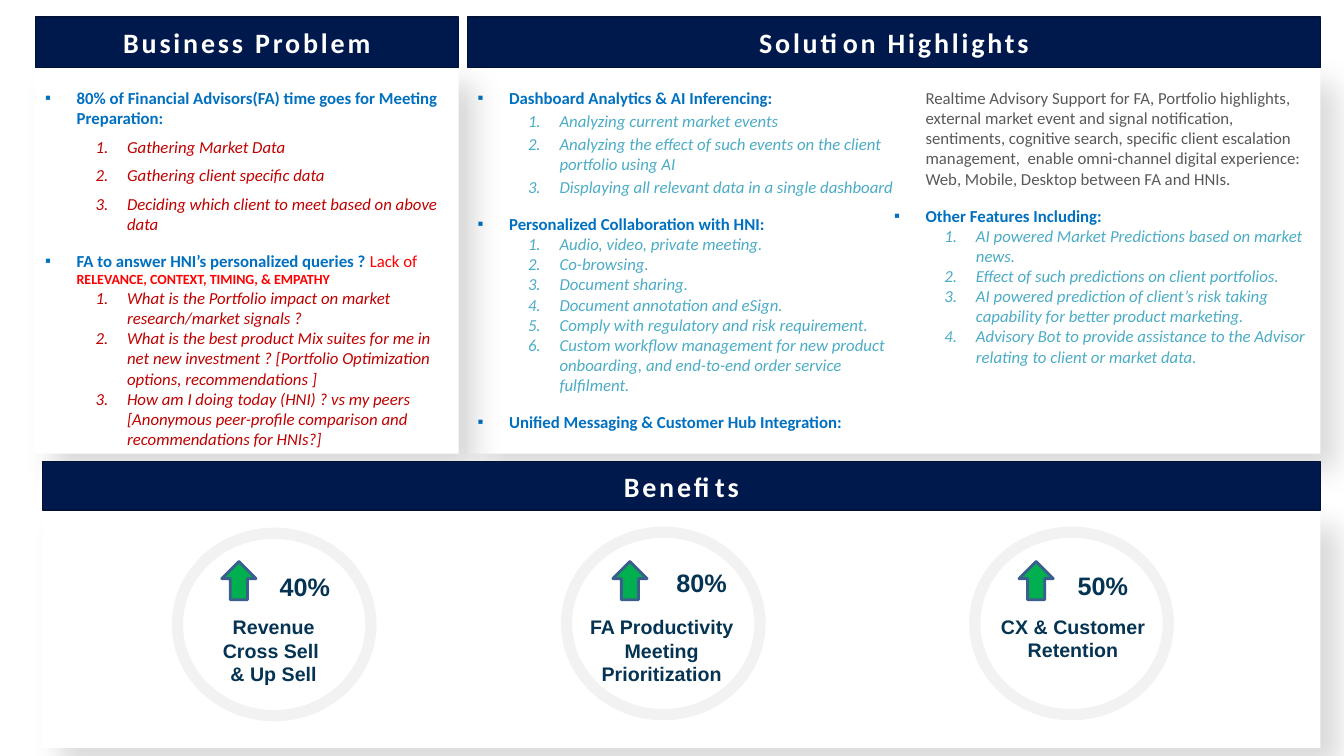
from dataclasses import dataclass

from lxml import etree
from pptx import Presentation
from pptx.dml.color import RGBColor
from pptx.enum.shapes import MSO_SHAPE
from pptx.enum.text import MSO_ANCHOR, PP_ALIGN
from pptx.oxml.ns import qn
from pptx.util import Pt

RECT, OVAL, UP_ARROW = MSO_SHAPE.RECTANGLE, MSO_SHAPE.OVAL, MSO_SHAPE.UP_ARROW
TOP, MIDDLE = MSO_ANCHOR.TOP, MSO_ANCHOR.MIDDLE
LEFT, CENTER = PP_ALIGN.LEFT, PP_ALIGN.CENTER

COLORS = {
    "navy": "00194C", "navy_edge": "001238", "white": "FFFFFF", "black": "000000",
    "heading": "0070C0", "problem": "C00000", "alert": "FF0000", "solution": "4BACC6",
    "body": "595959", "ring": "F2F2F2", "benefit": "053353",
    "arrow": "00B050", "arrow_edge": "3A5F8C",
}


@dataclass
class Section:
    """A titled panel with its header bar."""
    title: str
    left: float
    top: float
    width: float
    bar_height: float
    bottom: float


@dataclass
class Topic:
    """A bulleted heading, extra runs after it, and numbered points."""
    heading: str
    points: tuple = ()
    color: str = "solution"
    before: float = 0
    extra: tuple = ()


@dataclass
class Benefit:
    """A ring with an arrow, a percentage and a label."""
    ring_left: float
    ring_top: float
    arrow_left: float
    percent: str
    percent_box: tuple
    label: tuple
    label_box: tuple


PROBLEM = Section("Business Problem", 25.2, 12.24, 302.4, 36, 324)
SOLUTION = Section("Solution Highlights", 334.08, 12.24, 609.12, 36, 324)
BENEFITS = Section("Benefits", 30.24, 329.76, 912.96, 34.56, 534.24)

PROBLEM_TOPICS = [
    Topic("80% of Financial Advisors(FA) time goes for Meeting Preparation:",
          ("Gathering Market Data", "Gathering client specific data",
           "Deciding which client to meet based on above data"), "problem", 6),
    Topic("FA to answer HNI’s personalized queries ? ",
          ("What is the Portfolio impact on market research/market signals ?",
           "What is the best product Mix suites for me in net new investment ? "
           "[Portfolio Optimization options, recommendations ]",
           "How am I doing today (HNI) ? vs my peers [Anonymous peer-profile "
           "comparison and recommendations for HNIs?]"), "problem",
          extra=(("Lack of ", dict(color="alert")),
                 ("RELEVANCE, CONTEXT, TIMING, & EMPATHY",
                  dict(color="alert", size=10, bold=True)))),
]
SOLUTION_TOPICS = [
    Topic("Dashboard Analytics & AI Inferencing: ",
          ("Analyzing current market events",
           "Analyzing the effect of such events on the client portfolio using AI",
           "Displaying all relevant data in a single dashboard"), before=2),
    Topic("Personalized Collaboration with HNI: ",
          ("Audio, video, private meeting.", "Co-browsing.", "Document sharing.",
           "Document annotation and eSign.",
           "Comply with regulatory and risk requirement.",
           "Custom workflow management for new product onboarding, "
           "and end-to-end order service fulfilment.")),
    Topic("Unified Messaging & Customer Hub Integration: ",
          extra=(("Realtime Advisory Support for FA, Portfolio highlights, external "
                  "market event and signal notification, sentiments, cognitive search, "
                  "specific client escalation management,  enable omni-channel digital "
                  "experience: Web, Mobile, Desktop between FA and HNIs.",
                  dict(color="body")),)),
    Topic("Other Features Including:",
          ("AI powered Market Predictions based on market news.",
           "Effect of such predictions on client portfolios.",
           "AI powered prediction of client’s risk taking capability "
           "for better product marketing.",
           "Advisory Bot to provide assistance to the Advisor relating to "
           "client or market data.")),
]
BENEFIT_ITEMS = [
    Benefit(126.72, 380.88, 158.4, "40% ", (195.12, 408.24, 50.4, 21.6),
            ("Revenue", "Cross Sell ", "& Up Sell"), (158.4, 439.2, 74.16, 51.12)),
    Benefit(404.64, 380.16, 437.76, "80%", (471.6, 405.36, 59.04, 21.6),
            ("FA Productivity", "Meeting Prioritization"), (414.72, 439.2, 115.92, 51.12)),
    Benefit(696.24, 380.16, 727.92, "50%", (758.16, 407.52, 59.04, 21.6),
            ("CX & Customer Retention",), (714.24, 439.2, 104.4, 33.84)),
]


def rgb(name: str) -> RGBColor:
    """Look up a named colour."""
    return RGBColor.from_string(COLORS[name])


def add_run(p, text: str, *, color: str, size: float = 12, font: str = "Calibri",
            bold: bool = False, italic: bool = False, spacing: float = 0) -> None:
    """Append formatted text to a paragraph."""
    r = p.add_run()
    r.text = text
    r.font.name, r.font.size = font, Pt(size)
    r.font.bold, r.font.italic = bold, italic
    r.font.color.rgb = rgb(color)
    if spacing:
        r.font._element.set("spc", str(round(spacing * 100)))


def add_shape(kind, box: tuple, fill: str = "", line: str = "", weight: float = 1):
    """Add a flat preset shape; an empty colour means none."""
    sp = slide.shapes.add_shape(kind, *map(Pt, box))
    if fill:
        sp.fill.solid()
        sp.fill.fore_color.rgb = rgb(fill)
    else:
        sp.fill.background()
    if line:
        sp.line.color.rgb = rgb(line)
        sp.line.width = Pt(weight)
    else:
        sp.line.fill.background()
    sp.shadow.inherit = False
    return sp


def add_soft_shadow(sp) -> None:
    """Give a shape a faint shadow towards the lower right."""
    effects = sp._element.spPr.find(qn("a:effectLst"))
    shadow = etree.SubElement(effects, qn("a:outerShdw"), blurRad=str(Pt(21)),
                              dist=str(Pt(17)), dir="2700000", algn="tl", rotWithShape="0")
    color = etree.SubElement(shadow, qn("a:srgbClr"), val=COLORS["black"])
    etree.SubElement(color, qn("a:alpha"), val="15000")


def add_section(section: Section):
    """Draw a panel and its header bar, and return the panel."""
    s = section
    body_top = s.top + s.bar_height
    panel = add_shape(RECT, (s.left, body_top, s.width, s.bottom - body_top), "white")
    add_soft_shadow(panel)
    bar = add_shape(RECT, (s.left, s.top, s.width, s.bar_height), "navy", "navy_edge")
    bar.text_frame.vertical_anchor = MIDDLE
    p = bar.text_frame.paragraphs[0]
    p.alignment = CENTER
    add_run(p, s.title, color="white", size=20, bold=True, spacing=2)
    return panel


def format_item(p, level: int, before: float) -> None:
    """Set a hanging indent with a square bullet or a number."""
    p.alignment, p.level, p.space_before = LEFT, level, Pt(before)
    pPr = p._p.get_or_add_pPr()
    pPr.set("marL", str(Pt(22.5 + 36 * level)))
    pPr.set("indent", str(Pt(-22.5)))
    if level:
        etree.SubElement(pPr, qn("a:buFont"), typeface="+mj-lt")
        etree.SubElement(pPr, qn("a:buAutoNum"), type="arabicPeriod")
    else:
        etree.SubElement(pPr, qn("a:buFont"), typeface="Arial")
        etree.SubElement(pPr, qn("a:buChar"), char="▪")


def fill_panel(panel, topics: list, columns: int = 1) -> None:
    """Write topics into a panel."""
    tf = panel.text_frame
    tf.word_wrap, tf.vertical_anchor = True, TOP
    tf.margin_left = tf.margin_right = Pt(7.2)
    tf.margin_top, tf.margin_bottom = Pt(14.4), Pt(3.6)
    if columns > 1:
        tf._txBody.bodyPr.set("numCol", str(columns))
    for i, topic in enumerate(topics):
        p = tf.add_paragraph() if i else tf.paragraphs[0]
        format_item(p, 0, 12)
        add_run(p, topic.heading, color="heading", bold=True)
        for text, style in topic.extra:
            add_run(p, text, **style)
        for point in topic.points:
            p = tf.add_paragraph()
            format_item(p, 1, topic.before)
            add_run(p, point, color=topic.color, italic=True)


def add_label(box: tuple, lines: tuple, size: float) -> None:
    """Add a centred text box without margins."""
    tf = slide.shapes.add_textbox(*map(Pt, box)).text_frame
    tf.word_wrap = True
    tf.margin_left = tf.margin_right = tf.margin_top = tf.margin_bottom = 0
    for i, line in enumerate(lines):
        p = tf.add_paragraph() if i else tf.paragraphs[0]
        p.alignment = CENTER
        add_run(p, line, color="benefit", size=size, font="Arial", bold=True)


def add_benefit(item: Benefit) -> None:
    """Draw one benefit ring with its contents."""
    add_shape(OVAL, (item.ring_left, item.ring_top, 138.24, 130.32), line="ring", weight=8)
    add_label(item.percent_box, (item.percent,), 18)
    add_label(item.label_box, item.label, 14)
    add_shape(UP_ARROW, (item.arrow_left, 401.04, 24.48, 27.36), "arrow", "arrow_edge", 2)


prs = Presentation()
prs.slide_width, prs.slide_height = Pt(960), Pt(540)
slide = prs.slides.add_slide(prs.slide_layouts[6])
fill_panel(add_section(SOLUTION), SOLUTION_TOPICS, columns=2)
fill_panel(add_section(PROBLEM), PROBLEM_TOPICS)
add_section(BENEFITS)
for benefit in BENEFIT_ITEMS:
    add_benefit(benefit)
prs.save("out.pptx")
